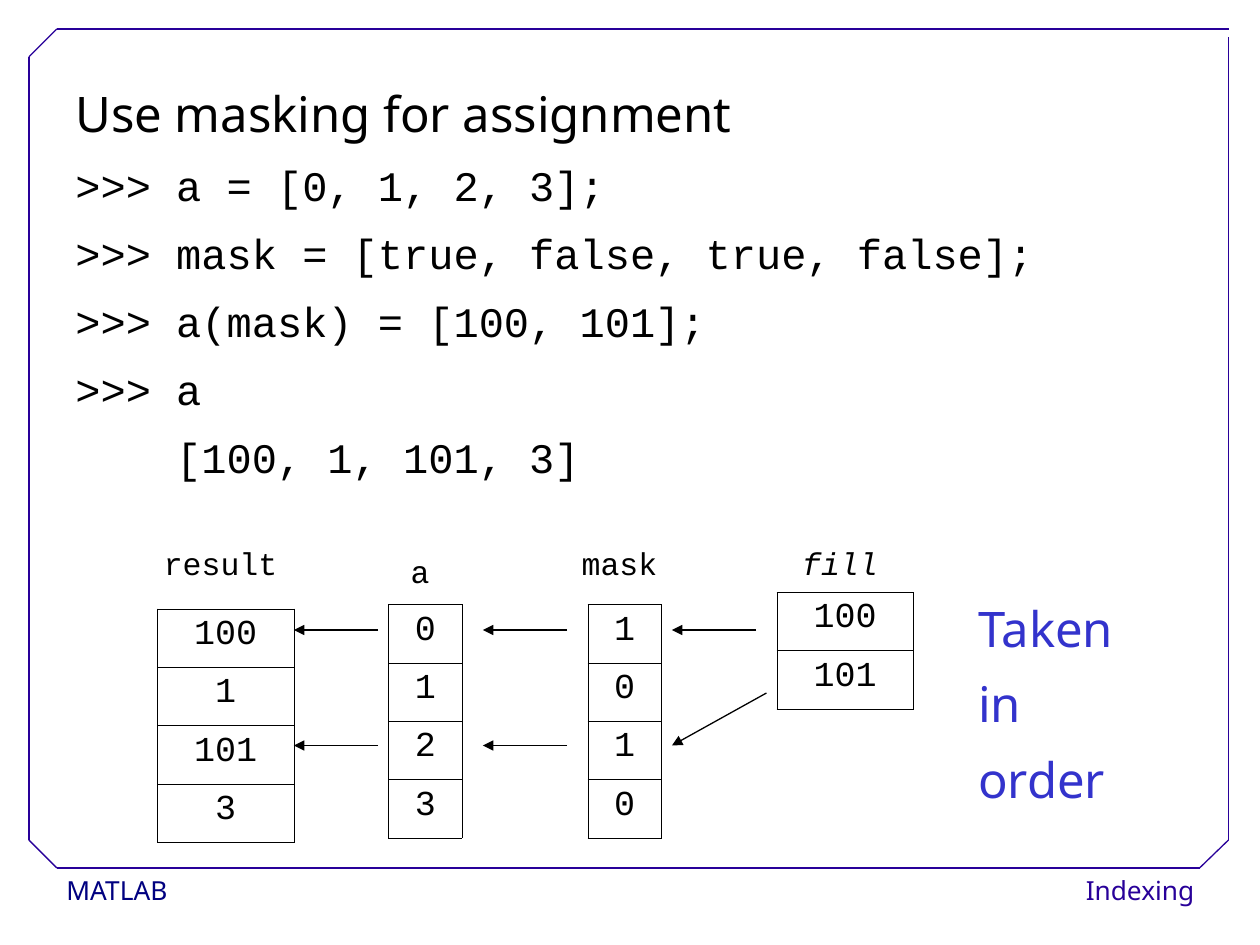
from lxml.etree import SubElement
from pptx import Presentation
from pptx.dml.color import RGBColor
from pptx.enum.shapes import MSO_CONNECTOR
from pptx.enum.text import PP_ALIGN
from pptx.oxml import parse_xml
from pptx.oxml.ns import qn
from pptx.util import Pt

HUES = {"ink": "000000", "note": "3333CC", "navy": "000080",
        "frame": "280099", "page": "FFFFFF"}
SANS, MONO = "Noto Sans", "Courier New"
SPACE = "http://schemas.openxmlformats.org/drawingml/2006/main"


class Deck:
    def __init__(self):
        self.file = Presentation()
        self.file.slide_width, self.file.slide_height = Pt(720), Pt(540)
        self.slide = self.file.slides.add_slide(self.file.slide_layouts[6])
        self.shapes = self.slide.shapes
        fill = self.slide.background.fill
        fill.solid()
        fill.fore_color.rgb = self.hue("page")

    def hue(self, name):
        return RGBColor.from_string(HUES[name])

    def add_words(self, para, words, size, font=MONO, hue="ink", slant=False):
        run = para.add_run()
        run.text = words
        run.font.size, run.font.name = Pt(size), font
        run.font.italic = slant
        run.font.color.rgb = self.hue(hue)

    def text(self, box, lines, align=PP_ALIGN.LEFT, lead=1, after=0,
             inset=(7.2, 3.6), **style):
        frame = self.shapes.add_textbox(*map(Pt, box)).text_frame
        frame.word_wrap = True
        frame.margin_left = frame.margin_right = Pt(inset[0])
        frame.margin_top = frame.margin_bottom = Pt(inset[1])
        for num, (words, size, font) in enumerate(lines):
            para = frame.add_paragraph() if num else frame.paragraphs[0]
            para.alignment, para.line_spacing = align, lead
            para.space_after = Pt(after)
            self.add_words(para, words, size, font, **style)

    def line(self, start, end, hue="ink", arrow=False):
        line = self.shapes.add_connector(
            MSO_CONNECTOR.STRAIGHT, *map(Pt, start + end))
        line.line.width = Pt(0.75)
        line.line.color.rgb = self.hue(hue)
        props = line._element.spPr
        if arrow:
            SubElement(props.find(qn("a:ln")), qn("a:tailEnd"),
                       type="triangle")
        SubElement(props, qn("a:effectLst"))

    def edge(self, cell):
        props = cell._tc.get_or_add_tcPr()
        for num, side in enumerate("LRTB"):
            props.insert(num, parse_xml(
                f'<a:ln{side} xmlns:a="{SPACE}" w="{Pt(0.45)}"><a:solidFill>'
                f'<a:srgbClr val="{HUES["ink"]}"/></a:solidFill></a:ln{side}>'))

    def stack(self, left, top, width, items, row=33.35):
        spot = map(Pt, (left, top, width, row * len(items)))
        table = self.shapes.add_table(len(items), 1, *spot).table
        table.first_row = table.horz_banding = False
        table.columns[0].width = Pt(width)
        for num, item in enumerate(items):
            table.rows[num].height = Pt(row)
            cell = table.cell(num, 0)
            cell.fill.background()
            self.edge(cell)
            para = cell.text_frame.paragraphs[0]
            para.alignment, para.line_spacing = PP_ALIGN.CENTER, 0.93
            para.space_after = Pt(12.9)
            self.add_words(para, item, 20)

    def label(self, left, top, width, words, slant=False):
        self.text((left, top, width, 29), [(words, 18, MONO)],
                  PP_ALIGN.CENTER, slant=slant)


def main():
    deck = Deck()

    for box, words, hue, align in [
            ((31.5, 496, 140.5, 26.5), "MATLAB", "navy", PP_ALIGN.LEFT),
            ((597.5, 496, 91.5, 26.5), "Indexing", "frame", PP_ALIGN.RIGHT)]:
        deck.text(box, [(words, 15, SANS)], align, 1.02,
                  inset=(6.5, 3), hue=hue)

    x1, x2, x3, x4 = 16.5, 32.5, 685.5, 702
    y1, y2, y3, y4 = 16.5, 32.5, 480, 496
    for start, end in [
            ((x2, y4), (x3, y4)), ((x1, y3), (x1, y2)),
            ((x2, y1), (x4, y1)), ((x4, y3), (x4, 21)),
            ((x1, y2), (x2, y1)), ((x3, y4), (x4, y3)),
            ((x1, y3), (x2, y4))]:
        deck.line(start, end, "frame")

    code = [">>> a = [0, 1, 2, 3];",
            ">>> mask = [true, false, true, false];",
            ">>> a(mask) = [100, 101];",
            ">>> a",
            "    [100, 1, 101, 3]"]
    deck.text((36, 48, 666, 438),
              [("Use masking for assignment", 28, SANS)]
              + [(words, 24, MONO) for words in code],
              lead=0.9, after=12.9)
    deck.text((552, 342, 96, 126),
              [(words, 28, SANS) for words in ("Taken", "in", "order")],
              lead=0.9, after=12.9, hue="note")

    deck.stack(90, 348, 78, ["100", "1", "101", "3"])
    deck.stack(222, 345.5, 42, ["0", "1", "2", "3"])
    deck.stack(336, 345.5, 42, ["1", "0", "1", "0"])
    deck.stack(444, 338.5, 78, ["100", "101"])

    deck.label(78, 307.5, 96, "result")
    deck.label(204, 312, 72, "a")
    deck.label(318, 307.5, 72, "mask")
    deck.label(444, 307.5, 72, "fill", slant=True)

    high, low = 360, 426
    for tip in (168, 276):
        for level in (high, low):
            deck.line((tip + 48, level), (tip, level), arrow=True)
    deck.line((432, high), (384, high), arrow=True)
    deck.line((438, 396), (384, low), arrow=True)

    deck.file.save("out.pptx")


if __name__ == "__main__":
    main()
